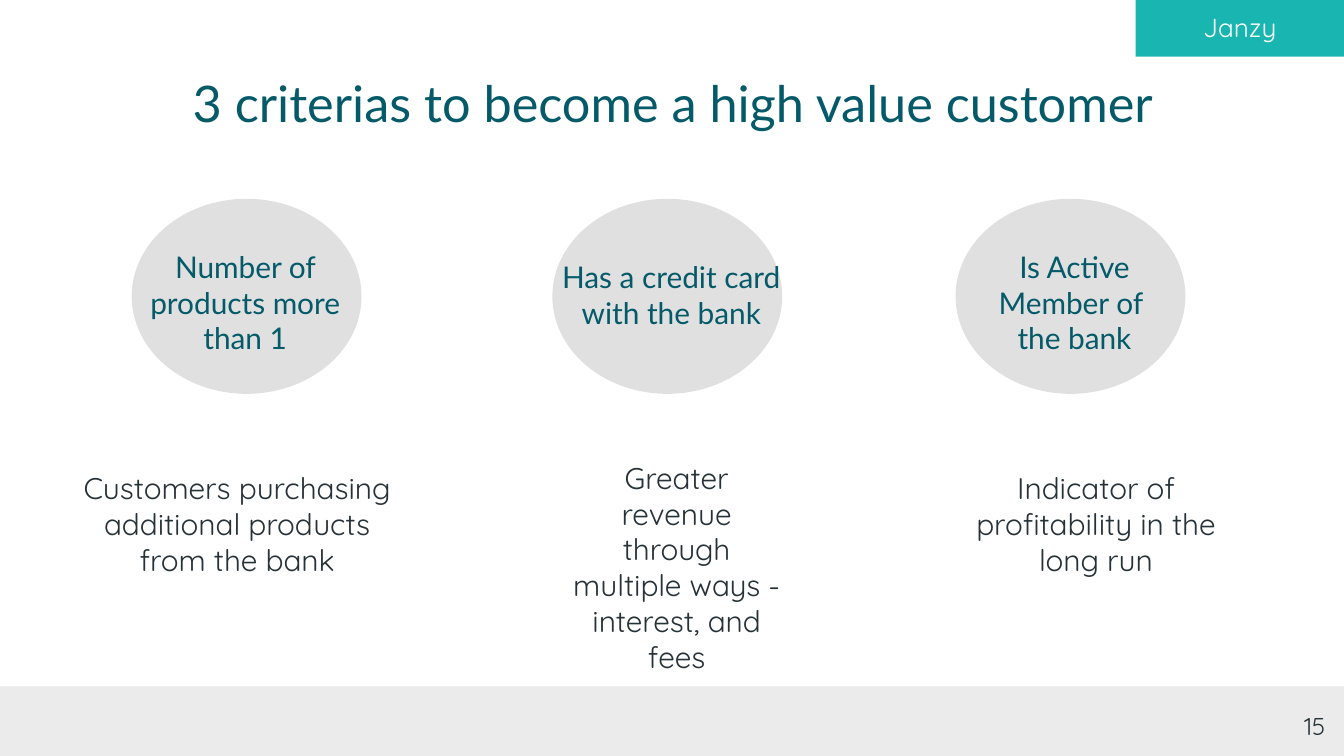
"""Builds a slide with three criteria for a high value customer."""
from dataclasses import dataclass

from pptx import Presentation
from pptx.dml.color import RGBColor
from pptx.enum.shapes import MSO_SHAPE
from pptx.enum.text import MSO_ANCHOR, PP_ALIGN
from pptx.util import Inches, Pt

RECT, OVAL = MSO_SHAPE.RECTANGLE, MSO_SHAPE.OVAL
TOP, MIDDLE = MSO_ANCHOR.TOP, MSO_ANCHOR.MIDDLE
CENTER, RIGHT = PP_ALIGN.CENTER, PP_ALIGN.RIGHT


@dataclass(frozen=True)
class Theme:
    heading: str = "Lato"
    body: str = "Quicksand"
    dark_teal: str = "045A68"
    teal: str = "19B5B1"
    ink: str = "263238"
    white: str = "FFFFFF"
    circle: str = "E0E0E0"
    footer: str = "EBEBEB"
    title_size: int = 27
    text_size: int = 16
    tag_size: int = 14
    number_size: int = 13


def write(sp, text, *, font, size, color, align=CENTER, anchor=TOP):
    tf = sp.text_frame
    tf.word_wrap = True
    tf.vertical_anchor = anchor
    tf.margin_left = tf.margin_right = Inches(0.1)
    tf.margin_top = tf.margin_bottom = Inches(0.1)
    tf.text = text
    p = tf.paragraphs[0]
    p.alignment = align
    for r in p.runs:
        r.font.name = font
        r.font.size = Pt(size)
        r.font.color.rgb = RGBColor.from_string(color)


class Deck:
    def __init__(self, theme):
        self.theme = theme
        self.prs = Presentation()
        self.prs.slide_width, self.prs.slide_height = Inches(10), Inches(5.625)
        self.s = self.prs.slides.add_slide(self.prs.slide_layouts[6])

    def area(self, x, y, w, h):
        across, down = self.prs.slide_width / 100, self.prs.slide_height / 100
        return [round(v) for v in (x * across, y * down, w * across, h * down)]

    def shape(self, kind, box, color):
        sp = self.s.shapes.add_shape(kind, *self.area(*box))
        sp.shadow.inherit = False
        sp.fill.solid()
        sp.fill.fore_color.rgb = RGBColor.from_string(color)
        sp.line.fill.background()
        return sp

    def text(self, box, text, **fmt):
        write(self.s.shapes.add_textbox(*self.area(*box)), text, **fmt)

    def criterion(self, circle_x, label, label_box, reason, reason_box):
        t = self.theme
        self.shape(OVAL, (circle_x, 26.3, 17.1, 25.8), t.circle)
        self.text(label_box, label, font=t.heading, size=t.text_size, color=t.dark_teal)
        self.text(reason_box, reason, font=t.body, size=t.text_size, color=t.ink)


def main():
    t = Theme()
    deck = Deck(t)
    deck.shape(RECT, (0, 90.8, 100, 9.2), t.footer)
    deck.text((7.9, 10.5, 84.3, 6.2), "3 criterias to become a high value customer",
              font=t.heading, size=t.title_size, color=t.dark_teal, anchor=MIDDLE)
    criteria = [
        (9.8, "Number of products more than 1", (9, 31.1, 18.5, 6.2),
         "Customers purchasing additional products from the bank", (4.3, 60.4, 26.7, 13.7)),
        (41.1, "Has a credit card with the bank", (40.7, 32.5, 18.5, 6.2),
         "Greater revenue through multiple ways - interest, and fees", (41.1, 59, 18.5, 16.5)),
        (71.1, "Is Active Member of \vthe bank", (70.7, 31.1, 18.5, 6.2),
         "Indicator of profitability in the long run", (69.6, 60.4, 23.9, 16.5)),
    ]
    for criterion in criteria:
        deck.criterion(*criterion)
    deck.text((93.6, 92.3, 6, 7.6), "15", font=t.body, size=t.number_size,
              color=t.ink, align=RIGHT)
    tag = deck.shape(RECT, (84.5, -0.2, 15.5, 7.7), t.teal)
    write(tag, "Janzy", font=t.body, size=t.tag_size, color=t.white, anchor=MIDDLE)
    deck.prs.save("out.pptx")


if __name__ == "__main__":
    main()
